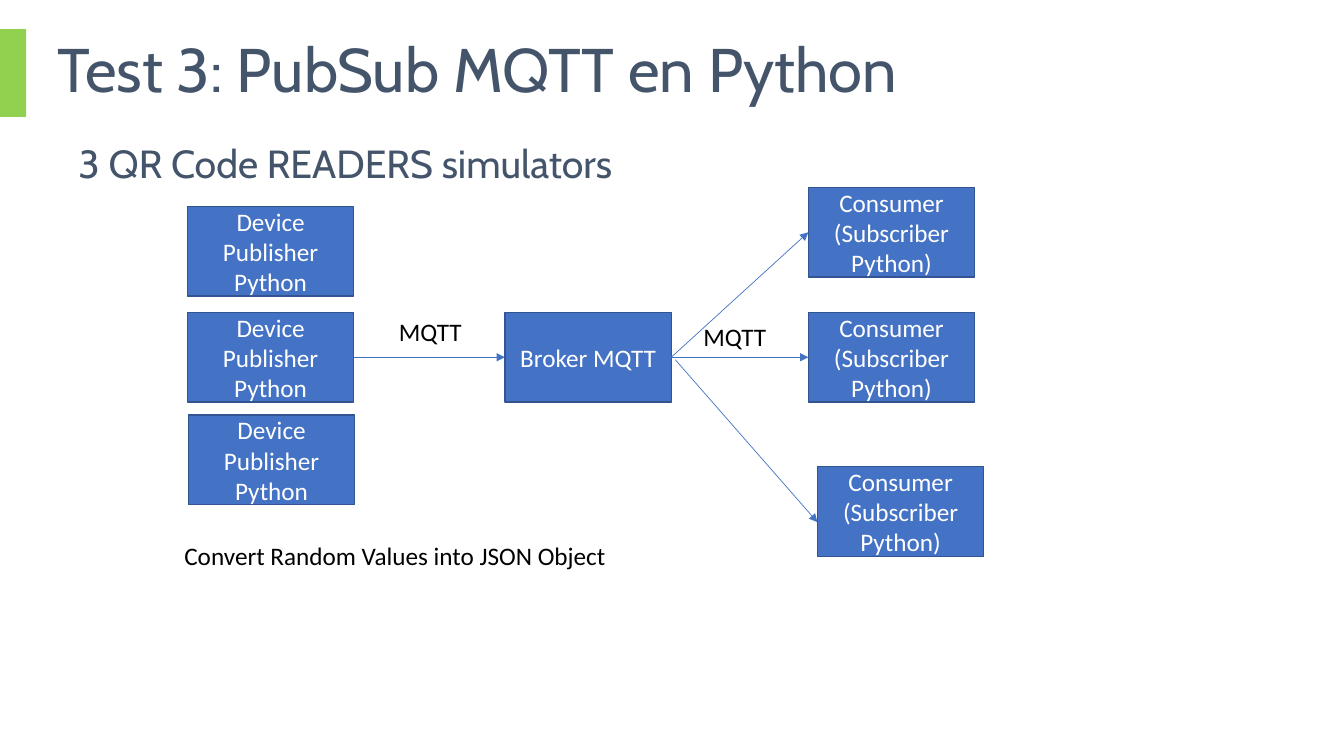
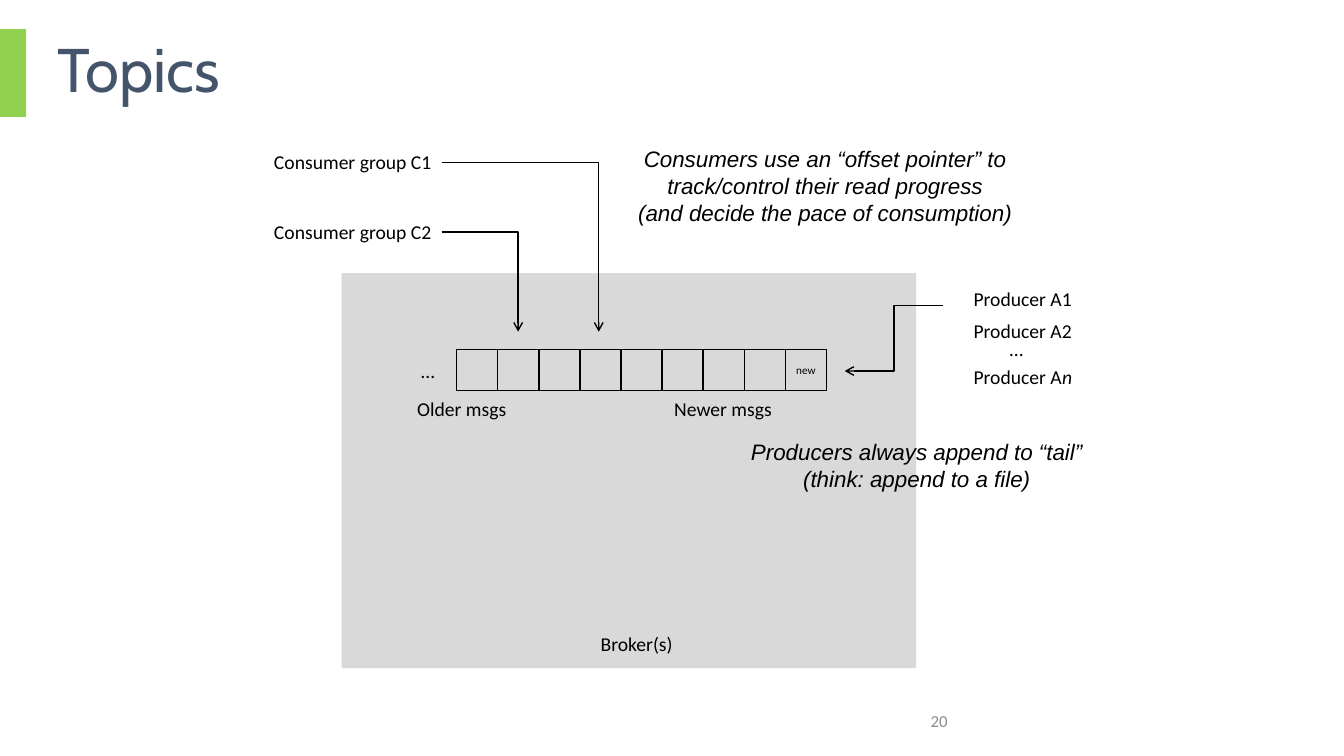
from dataclasses import dataclass

from pptx import Presentation
from pptx.dml.color import RGBColor
from pptx.enum import shapes, text
from pptx.oxml import parse_xml
from pptx.oxml.ns import nsdecls, qn
from pptx.shapes.autoshape import Shape
from pptx.shapes.connector import Connector
from pptx.slide import Slide
from pptx.util import Pt

COLORS = {
    "band": "92D050", "heading": "44546A", "box": "4472C4", "box_line": "325491",
    "white": "FFFFFF", "black": "000000", "broker": "D9D9D9", "number": "8C8C8C",
}
LEFT, CENTER, RIGHT = text.PP_ALIGN.LEFT, text.PP_ALIGN.CENTER, text.PP_ALIGN.RIGHT
TOP, MIDDLE = text.MSO_ANCHOR.TOP, text.MSO_ANCHOR.MIDDLE
STRAIGHT, ELBOW = shapes.MSO_CONNECTOR.STRAIGHT, shapes.MSO_CONNECTOR.ELBOW
SIDE_LEFT, SIDE_RIGHT = 1, 3

Point = tuple[float, float]
Area = tuple[float, float, float, float]


@dataclass(frozen=True)
class Style:
    size: float
    color: str = "black"
    font: str = "Calibri"
    italic: bool = False
    align: text.PP_ALIGN = LEFT
    anchor: text.MSO_ANCHOR = TOP
    line_spacing: float | None = None
    space_before: float = 0


@dataclass(frozen=True)
class Label:
    """Unwrapped text; the lines are paragraphs, and the suffix is an italic last run."""
    area: Area
    lines: tuple[str, ...]
    style: Style
    suffix: str = ""


TITLE = Style(44, "heading", "Cabin", anchor=MIDDLE, line_spacing=0.9)
SUBTITLE = Style(28, "heading", "Cabin", line_spacing=0.9, space_before=10)
BOX_TEXT = Style(18, "white", align=CENTER, anchor=MIDDLE)
CELL_TEXT = Style(8, align=CENTER, anchor=MIDDLE)
NUMBER = Style(12, "number", align=RIGHT, anchor=MIDDLE)
CAPTION = Style(18)
SMALL = Style(14)
SMALL_CENTER = Style(14, align=CENTER)
REMARK = Style(16, font="Arial", italic=True, align=CENTER)


def rgb(name: str) -> RGBColor:
    return RGBColor.from_string(COLORS[name])


def write(s: Shape, lines: tuple[str, ...], style: Style, suffix: str = "",
          wrap: bool = True) -> None:
    tf = s.text_frame
    tf.word_wrap = wrap
    tf.vertical_anchor = style.anchor
    for i, line in enumerate(lines):
        p = tf.add_paragraph() if i else tf.paragraphs[0]
        p.alignment = style.align
        p.space_before = Pt(style.space_before)
        if style.line_spacing:
            p.line_spacing = style.line_spacing
        runs = [(line, style.italic)]
        if suffix and i == len(lines) - 1:
            runs.append((suffix, True))
        for words, italic in runs:
            r = p.add_run()
            r.text = words
            r.font.name, r.font.size = style.font, Pt(style.size)
            r.font.italic = italic
            r.font.color.rgb = rgb(style.color)


def add_text(slide: Slide, area: Area, words: str, style: Style) -> None:
    s = slide.shapes.add_textbox(*map(Pt, area))
    write(s, (words,), style)


def add_label(slide: Slide, label: Label) -> None:
    s = slide.shapes.add_textbox(*map(Pt, label.area))
    write(s, label.lines, label.style, label.suffix, wrap=False)
    s.text_frame.auto_size = text.MSO_AUTO_SIZE.SHAPE_TO_FIT_TEXT


def add_rect(slide: Slide, area: Area, fill: str = "", line: str = "") -> Shape:
    s = slide.shapes.add_shape(shapes.MSO_SHAPE.RECTANGLE, *map(Pt, area))
    s.shadow.inherit = False
    if fill:
        s.fill.solid()
        s.fill.fore_color.rgb = rgb(fill)
    else:
        s.fill.background()
    if line:
        s.line.color.rgb = rgb(line)
        s.line.width = Pt(1)
    else:
        s.line.fill.background()
    return s


def add_arrow(slide: Slide, start: Point, end: Point, color: str, width: float,
              head: str, kind: shapes.MSO_CONNECTOR = STRAIGHT) -> Connector:
    c = slide.shapes.add_connector(kind, *map(Pt, start + end))
    c.line.color.rgb = rgb(color)
    c.line.width = Pt(width)
    props = c._element.spPr
    props.find(qn("a:ln")).append(
        parse_xml(f'<a:tailEnd {nsdecls("a")} type="{head}"/>'))
    props.append(parse_xml(f'<a:effectLst {nsdecls("a")}/>'))
    return c


def add_titled_slide(prs: Presentation, title: str) -> Slide:
    slide = prs.slides.add_slide(prs.slide_layouts[6])
    add_rect(slide, (0, 20.9, 18.7, 62.6), "band")
    add_text(slide, (33.8, 20.9, 680.4, 61.2), title, TITLE)
    return slide


def add_node(slide: Slide, left: float, top: float, words: str) -> Shape:
    s = add_rect(slide, (left, top, 118.8, 64), "box", "box_line")
    write(s, (words,), BOX_TEXT)
    return s


def link(slide: Slide, source: Shape, target: Shape) -> None:
    """Arrow from the right side of one box to the left side of another."""
    c = add_arrow(slide, (0, 0), (0, 0), "box", 0.5, "triangle")
    c.begin_connect(source, SIDE_RIGHT)
    c.end_connect(target, SIDE_LEFT)


def build_pubsub(prs: Presentation) -> None:
    slide = add_titled_slide(prs, "Test 3: PubSub MQTT en Python")
    add_text(slide, (49, 100, 864, 356.4), "3 QR Code READERS simulators", SUBTITLE)
    devices = [add_node(slide, x, y, "Device Publisher Python")
               for x, y in ((133.9, 147.6), (133.9, 223.2), (134.6, 296.6))]
    broker = add_node(slide, 360.7, 223.2, "Broker MQTT")
    consumers = [add_node(slide, x, y, "Consumer (Subscriber Python)")
                 for x, y in ((577.4, 133.9), (577.4, 223.2), (583.9, 333.4))]
    link(slide, devices[1], broker)
    for consumer in consumers[:2]:
        link(slide, broker, consumer)
    add_arrow(slide, (482.4, 257), (583.9, 373), "box", 0.5, "triangle")
    for label in (
        Label((277.9, 222.5, 59.8, 28.8), ("MQTT",), CAPTION),
        Label((495.4, 226.1, 59.8, 28.8), ("MQTT",), CAPTION),
        Label((124.6, 382.3, 319, 28.8),
              ("Convert Random Values into JSON Object",), CAPTION),
    ):
        add_label(slide, label)


def build_topics(prs: Presentation) -> None:
    slide = add_titled_slide(prs, "Topics")
    add_rect(slide, (244.1, 195.1, 410.4, 282.2), "broker")
    add_text(slide, (516.2, 500.4, 167.8, 28.8), "20", NUMBER)

    cell = 29.35
    cells = [add_rect(slide, (326.2 + i * cell, 249.8, cell, cell), line="black")
             for i in range(9)]
    write(cells[-1], ("new",), CELL_TEXT, wrap=False)

    for label in (
        Label((421.9, 447.8, 66.2, 24.5), ("Broker(s)",), SMALL),
        Label((688.3, 201.6, 85.7, 24.5), ("Producer A1",), SMALL),
        Label((688.3, 224.6, 85.7, 24.5), ("Producer A2",), SMALL),
        Label((714.2, 236.9, 24.5, 24.5), ("…",), SMALL),
        Label((688.3, 257, 85.7, 24.5), ("Producer A",), SMALL, "n"),
        Label((293.8, 252.7, 24.5, 24.5), ("…",), SMALL),
        Label((290.9, 280.1, 78.5, 24.5), ("Older msgs",), SMALL),
        Label((474.5, 280.1, 85, 24.5), ("Newer msgs",), SMALL),
        Label((187.9, 103.7, 128.2, 24.5), ("Consumer group C1",), SMALL_CENTER),
        Label((187.9, 153.4, 128.2, 24.5), ("Consumer group C2",), SMALL_CENTER),
        Label((525.6, 309.6, 258.5, 46.1),
              ("Producers always append to “tail”", "(think: append to a file)"),
              REMARK),
        Label((445, 100.1, 288.7, 65.5),
              ("Consumers use an “offset pointer” to",
               "track/control their read progress",
               "(and decide the pace of consumption)"), REMARK),
    ):
        add_label(slide, label)

    add_arrow(slide, (673.9, 218.2), (603.4, 265), "black", 1, "arrow", ELBOW)
    for start, end in (((315.4, 115.9), (427.7, 236.9)),
                       ((315.4, 165.6), (370.1, 236.9))):
        c = add_arrow(slide, start, end, "black", 1, "arrow", ELBOW)
        c._element.spPr.find(qn("a:prstGeom")).set("prst", "bentConnector2")


def main() -> None:
    prs = Presentation()
    prs.slide_width, prs.slide_height = Pt(960), Pt(540)
    build_pubsub(prs)
    build_topics(prs)
    prs.save("out.pptx")


if __name__ == "__main__":
    main()
